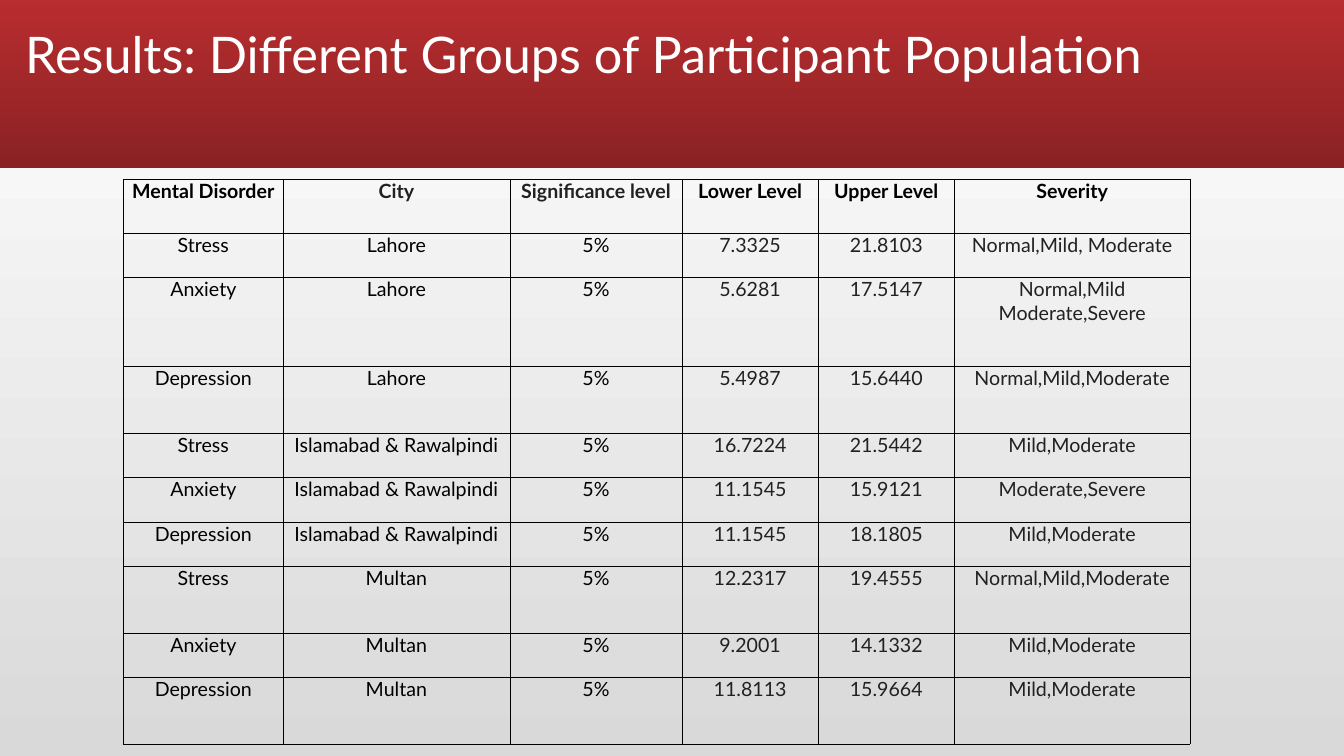
from pptx import Presentation
from pptx import util as u
from pptx.dml import color
from pptx.enum import shapes, text
from pptx.oxml import parse_xml
from pptx.oxml import ns


def shade(fill, first, last, angle):
    fill.gradient()
    fill.gradient_angle = angle
    for stop, tone in zip(fill.gradient_stops, (first, last)):
        stop.color.rgb = color.RGBColor.from_string(tone)


def style(para, size, tone, bold=False):
    para.font.name = "Lato"
    para.font.size = u.Pt(size)
    para.font.bold = bold
    para.font.color.rgb = color.RGBColor.from_string(tone)


deck = Presentation()
deck.slide_width, deck.slide_height = u.Cm(33.87), u.Cm(19.05)
slide = deck.slides.add_slide(deck.slide_layouts[5])
shade(slide.background.fill, "D9D9D9", "FFFFFF", 90)

banner = slide.shapes.add_shape(
    shapes.MSO_SHAPE.RECTANGLE, 0, 0, deck.slide_width, u.Cm(4.24))
banner.shadow.inherit = False
banner.line.fill.background()
shade(banner.fill, "B82D2F", "8A2123", 270)
slide.shapes.element.insert(2, banner.element)

title = slide.shapes.title
title.left, title.top = u.Cm(0.38), u.Cm(0.28)
title.width, title.height = u.Cm(32.89), u.Cm(3.68)
frame = title.text_frame
frame.text = "Results: Different Groups of Participant Population"
frame.word_wrap = True
frame.auto_size = text.MSO_AUTO_SIZE.NONE
frame.vertical_anchor = text.MSO_ANCHOR.TOP
frame.margin_top = u.Cm(0.47)
head = frame.paragraphs[0]
head.alignment = text.PP_ALIGN.LEFT
head.line_spacing = 0.9
style(head, 36, "FFFFFF")

rows = [
    ("Mental Disorder", "City", "Significance level", "Lower Level", "Upper Level", "Severity"),
    ("Stress", "Lahore", "5%", "7.3325", "21.8103", "Normal,Mild, Moderate"),
    ("Anxiety", "Lahore", "5%", "5.6281", "17.5147", "Normal,Mild Moderate,Severe"),
    ("Depression", "Lahore", "5%", "5.4987", "15.6440", "Normal,Mild,Moderate"),
    ("Stress", "Islamabad & Rawalpindi", "5%", "16.7224", "21.5442", "Mild,Moderate"),
    ("Anxiety", "Islamabad & Rawalpindi", "5%", "11.1545", "15.9121", "Moderate,Severe"),
    ("Depression", "Islamabad & Rawalpindi", "5%", "11.1545", "18.1805", "Mild,Moderate"),
    ("Stress", "Multan", "5%", "12.2317", "19.4555", "Normal,Mild,Moderate"),
    ("Anxiety", "Multan", "5%", "9.2001", "14.1332", "Mild,Moderate"),
    ("Depression", "Multan", "5%", "11.8113", "15.9664", "Mild,Moderate"),
]
widths = [4.01, 5.72, 4.34, 3.43, 3.43, 5.94]
heights = [1.35, 1.12, 2.24, 1.68, 1.12, 1.12, 1.12, 1.68, 1.12, 1.68]

table = slide.shapes.add_table(
    len(rows), len(widths), u.Cm(3.12), u.Cm(4.52),
    u.Cm(sum(widths)), u.Cm(sum(heights))).table
table.first_row = table.horz_banding = False
for column, width in zip(table.columns, widths):
    column.width = u.Cm(width)

for r, (row, height) in enumerate(zip(rows, heights)):
    table.rows[r].height = u.Cm(height)
    for c, words in enumerate(row):
        cell = table.cell(r, c)
        cell.text = words
        cell.margin_left = cell.margin_right = u.Cm(0.18)
        cell.margin_top = cell.margin_bottom = 0
        para = cell.text_frame.paragraphs[0]
        para.alignment = text.PP_ALIGN.CENTER
        grey = c in (1, 2) if r == 0 else c > 2
        style(para, 14, "212121" if grey else "000000", r == 0)
        props = cell._tc.get_or_add_tcPr()
        for side in "LRTB":
            props.append(parse_xml(
                f'<a:ln{side} {ns.nsdecls("a")} w="6350"><a:solidFill>'
                f'<a:srgbClr val="000000"/></a:solidFill></a:ln{side}>'))
        cell.fill.background()

deck.save("out.pptx")
